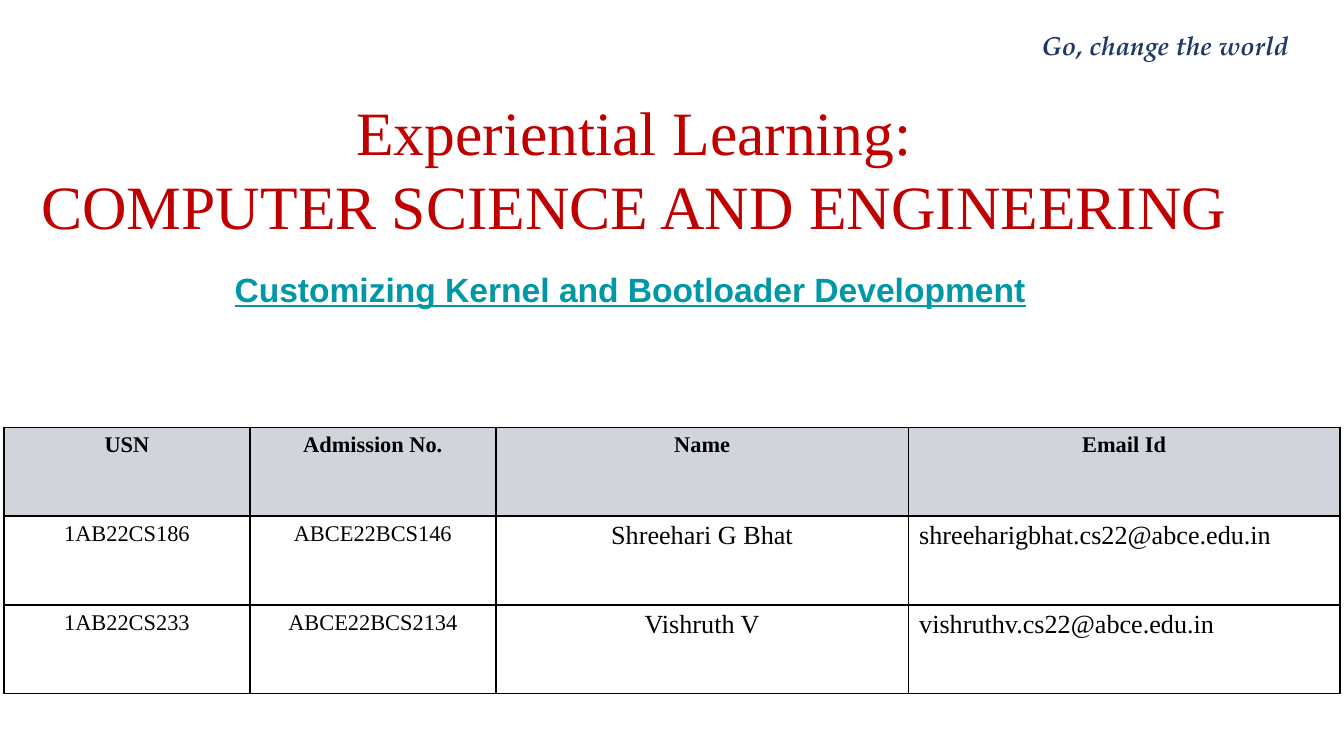
from dataclasses import dataclass

from lxml.etree import SubElement
from pptx import Presentation
from pptx.dml.color import RGBColor
from pptx.enum.text import MSO_ANCHOR, MSO_AUTO_SIZE, PP_ALIGN
from pptx.oxml.ns import qn
from pptx.util import Inches, Pt


@dataclass(frozen=True)
class Theme:
    """Colours, fonts and type sizes."""
    navy: str = "1F3864"
    red: str = "C00000"
    teal: str = "0097A7"
    black: str = "000000"
    header_fill: str = "D1D5DB"
    serif: str = "Times New Roman"
    sans: str = "Arial"
    tagline_font: str = "TeX Gyre Pagella"
    title_size: int = 33
    subtitle_size: int = 18
    large_size: int = 14
    small_size: int = 12


def write_text(frame, lines, *, font, size, color, align=PP_ALIGN.CENTER,
               bold=False, italic=False, underline=False,
               anchor=MSO_ANCHOR.TOP):
    """Fill a text frame with one formatted paragraph per line."""
    frame.word_wrap = True
    frame.vertical_anchor = anchor
    for index, line in enumerate(lines):
        paragraph = frame.paragraphs[0] if index == 0 else frame.add_paragraph()
        paragraph.alignment = align
        paragraph.space_before = Pt(0)
        run = paragraph.add_run()
        run.text = line
        run.font.name = font
        run.font.size = Pt(size)
        run.font.color.rgb = RGBColor.from_string(color)
        run.font.bold = bold
        run.font.italic = italic
        run.font.underline = underline


def set_margins(target, horizontal, vertical):
    target.margin_left = target.margin_right = Inches(horizontal)
    target.margin_top = target.margin_bottom = Inches(vertical)


def set_borders(cell, color, width):
    """Draw a solid line on all four sides of a table cell."""
    properties = cell._tc.get_or_add_tcPr()
    for index, side in enumerate(("lnL", "lnR", "lnT", "lnB")):
        line = SubElement(properties, qn(f"a:{side}"), w=str(Pt(width)))
        fill = SubElement(line, qn("a:solidFill"))
        SubElement(fill, qn("a:srgbClr"), val=color)
        properties.insert(index, line)


class SlideBuilder:
    """Holds the theme and the current slide."""

    def __init__(self, slide, theme):
        self.slide = slide
        self.theme = theme

    def add_placeholder_text(self, index, lines, box, **text_format):
        shape = self.slide.placeholders[index]
        shape.left, shape.top, shape.width, shape.height = map(Inches, box)
        frame = shape.text_frame
        frame.auto_size = MSO_AUTO_SIZE.NONE
        set_margins(frame, 0.1, 0.1)
        write_text(frame, lines, **text_format)

    def add_label(self, text, box, **text_format):
        frame = self.slide.shapes.add_textbox(*map(Inches, box)).text_frame
        set_margins(frame, 0.07, 0.04)
        write_text(frame, [text], **text_format)

    def add_member_table(self, rows, left, top, column_widths, row_height):
        theme = self.theme
        shape = self.slide.shapes.add_table(
            len(rows), len(column_widths), Inches(left), Inches(top),
            Inches(sum(column_widths)), Inches(row_height * len(rows)))
        table = shape.table
        table.first_row = table.horz_banding = False
        for column, width in zip(table.columns, column_widths):
            column.width = Inches(width)
        for row_index, values in enumerate(rows):
            table.rows[row_index].height = Inches(row_height)
            is_header = row_index == 0
            for column_index, value in enumerate(values):
                cell = table.cell(row_index, column_index)
                set_margins(cell, 0.08, 0.04)
                if is_header:
                    cell.fill.solid()
                    cell.fill.fore_color.rgb = RGBColor.from_string(theme.header_fill)
                else:
                    cell.fill.background()
                set_borders(cell, theme.black, 1)
                # Names and addresses are larger; addresses are left-aligned
                is_large = not is_header and column_index >= 2
                is_email = not is_header and column_index == 3
                write_text(
                    cell.text_frame, [value], font=theme.serif,
                    size=theme.large_size if is_large else theme.small_size,
                    color=theme.black, bold=is_header,
                    align=PP_ALIGN.LEFT if is_email else PP_ALIGN.CENTER)


def main():
    # Widescreen slide, 16:9
    presentation = Presentation()
    presentation.slide_width = Inches(10)
    presentation.slide_height = presentation.slide_width * 9 // 16
    slide = presentation.slides.add_slide(presentation.slide_layouts[0])
    theme = Theme()
    builder = SlideBuilder(slide, theme)

    # Tagline
    builder.add_label("Go, change the world", (7.5, 0.18, 2.16, 0.31),
                      font=theme.tagline_font, size=theme.large_size,
                      color=theme.navy, align=PP_ALIGN.RIGHT,
                      bold=True, italic=True)

    # Title and project name
    builder.add_placeholder_text(
        0, ["Experiential Learning:", "COMPUTER SCIENCE AND ENGINEERING"],
        (-0.28, 0.6, 10, 1.3),
        font=theme.serif, size=theme.title_size, color=theme.red)
    builder.add_placeholder_text(
        1, ["Customizing Kernel and Bootloader Development"],
        (-0.28, 1.89, 9.94, 0.52),
        font=theme.sans, size=theme.subtitle_size, color=theme.teal,
        bold=True, underline=True, anchor=MSO_ANCHOR.MIDDLE)

    # Team members
    members = [
        ("USN", "Admission No.", "Name", "Email Id"),
        ("1AB22CS186", "ABCE22BCS146", "Shreehari G Bhat",
         "shreeharigbhat.cs22@abce.edu.in"),
        ("1AB22CS233", "ABCE22BCS2134", "Vishruth V",
         "vishruthv.cs22@abce.edu.in"),
    ]
    builder.add_member_table(members, left=0.03, top=3.18,
                             column_widths=(1.83, 1.83, 3.07, 3.21),
                             row_height=0.66)

    presentation.save("out.pptx")


if __name__ == "__main__":
    main()
